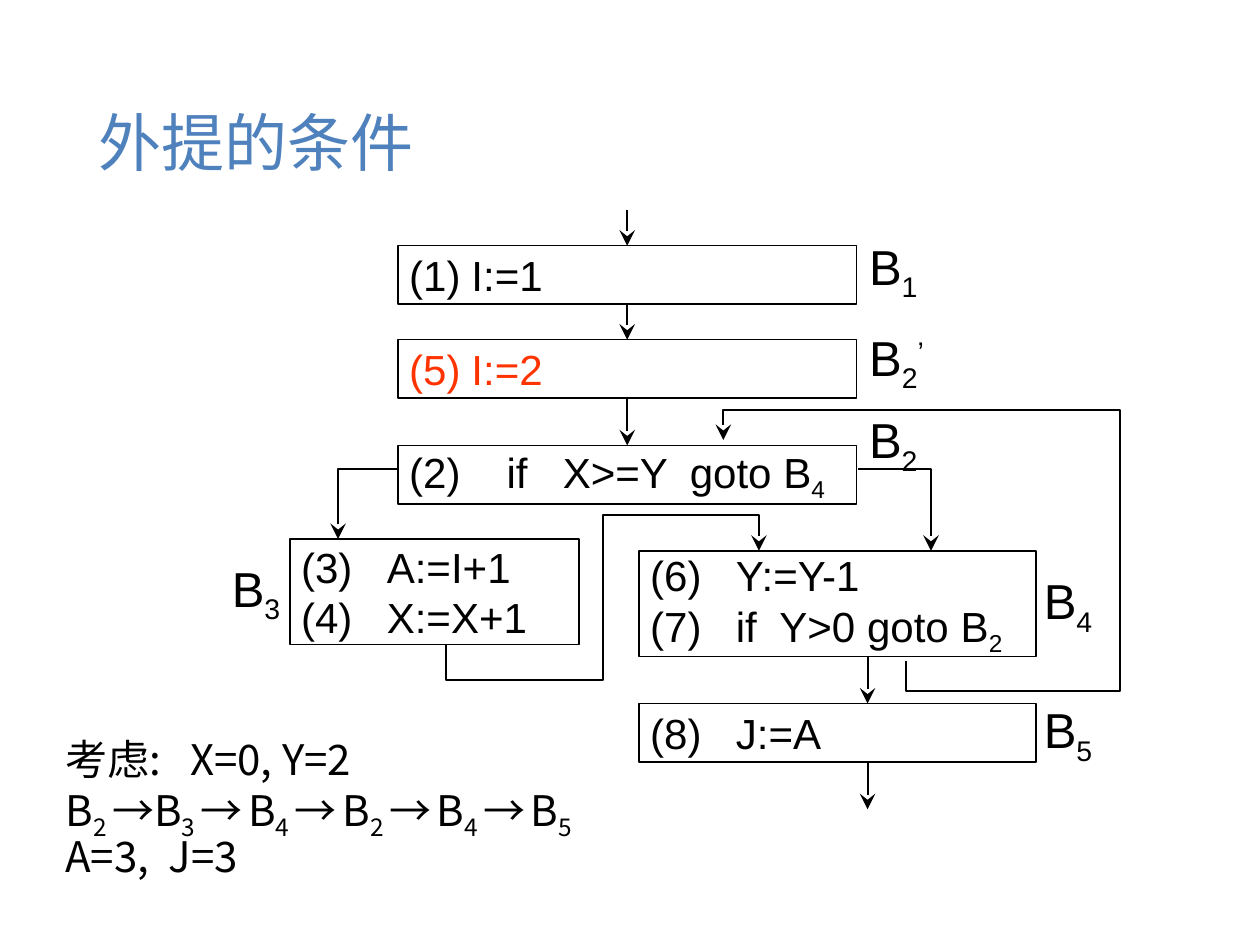
"""Builds a slide with a flow graph showing the condition for hoisting loop code."""
import pptx
import pptx.dml.color
import pptx.enum.shapes
import pptx.enum.text
import pptx.oxml.ns
import pptx.util
from lxml import etree

Pt = pptx.util.Pt
qn = pptx.oxml.ns.qn
COLORS = {"title": "4F81BD", "ink": "000000", "moved": "FF3300", "paper": "FFFFFF"}
COLORS = {name: pptx.dml.color.RGBColor.from_string(value) for name, value in COLORS.items()}
CODE_FONT, CHINESE_FONT = "Arial", "Noto Sans CJK SC"


def write_text(shape, lines, size, color="ink", font=CODE_FONT, align="LEFT", spacing=None, margin=7.2):
    """Fill a shape; each line is (text, tab stops), with |n| lowered and |^n| raised."""
    frame = shape.text_frame
    frame.word_wrap = True
    frame.vertical_anchor = pptx.enum.text.MSO_ANCHOR.MIDDLE
    frame.margin_left = frame.margin_right = Pt(margin)
    for index, (text, stops) in enumerate(lines):
        paragraph = frame.add_paragraph() if index else frame.paragraphs[0]
        paragraph.alignment = getattr(pptx.enum.text.PP_ALIGN, align)
        if spacing:
            paragraph.line_spacing = spacing
        if stops:
            tabs = etree.SubElement(paragraph._p.get_or_add_pPr(), qn("a:tabLst"))
            for stop in stops:
                etree.SubElement(tabs, qn("a:tab"), pos=str(Pt(stop)), algn="l")
        paragraph.font.size = Pt(size)
        paragraph.font.color.rgb = COLORS[color]
        paragraph.font.name = font
        etree.SubElement(paragraph.font._element, qn("a:ea"), typeface=font)
        for position, piece in enumerate(text.split("|")):
            if not piece:
                continue
            run = paragraph.add_run()
            run.text = piece.lstrip("^")
            if position % 2:
                baseline = "30000" if piece.startswith("^") else "-25000"
                run.font._element.set("baseline", baseline)


def style_arrow(arrow):
    """Give a connector or outline its black line, arrowhead and no shadow."""
    arrow.line.color.rgb = COLORS["ink"]
    arrow.line.width = Pt(1.25)
    properties = arrow._element.spPr
    etree.SubElement(properties.find(qn("a:ln")), qn("a:tailEnd"), type="stealth", w="lg", len="lg")
    if properties.find(qn("a:effectLst")) is None:
        etree.SubElement(properties, qn("a:effectLst"))


presentation = pptx.Presentation()
presentation.slide_width, presentation.slide_height = Pt(793.7), Pt(595.28)
slide = presentation.slides.add_slide(presentation.slide_layouts[5])
shapes = slide.shapes

title = shapes.title
title.left, title.top, title.width, title.height = Pt(54.7), Pt(31.7), Pt(684.7), Pt(115.2)
write_text(title, [("外提的条件", [])], 39.7, "title", CHINESE_FONT)

blocks = {
    "B1": (250.6, 154.8, 289, 36.9, "ink", [("(1)\tI:=1", [39.3])]),
    "B2'": (250.6, 214, 289, 36.9, "moved", [("(5)\tI:=2", [39.3])]),
    "B2": (250.6, 280.6, 289, 36.9, "ink", [("(2)\tif\tX>=Y\tgoto B|4|", [61.4, 96.8, 176.8])]),
    "B3": (182.6, 339.6, 182.2, 66.4, "ink", [("(3)\tA:=I+1", [54]), ("(4)\tX:=X+1", [54])]),
    "B4": (402.5, 347, 250, 66.6, "ink",
           [("(6)\tY:=Y-1", [54]), ("(7)\tif\tY>0 goto B|2|", [54, 81.4])]),
    "B5": (402.5, 443.2, 250, 36.9, "ink", [("(8)\tJ:=A", [54])]),
}
boxes = {}
for name, (left, top, width, height, color, lines) in blocks.items():
    box = shapes.add_shape(pptx.enum.shapes.MSO_SHAPE.RECTANGLE, Pt(left), Pt(top), Pt(width), Pt(height))
    box.shadow.inherit = False
    box.fill.background()
    box.line.color.rgb = COLORS["ink"]
    box.line.width = Pt(1)
    write_text(box, lines, 26.5, color)
    boxes[name] = box

labels = [("B|1|", 542.2, 147.6), ("B|2||^’|", 544.3, 205.2), ("B|2|", 542.2, 257),
          ("B|3|", 140.8, 350.6), ("B|4|", 652.3, 358.4), ("B|5|", 652.3, 439.6)]
for text, left, top in labels:
    label = shapes.add_textbox(Pt(left), Pt(top), Pt(41), Pt(44.6))
    write_text(label, [(text, [])], 30.9, align="CENTER", margin=0)

straight_arrows = [
    (395.1, 132.5, 154.8, None, "B1"),
    (395.1, 191.7, 214, "B1", "B2'"),
    (395.1, 250.9, 280.6, "B2'", "B2"),
    (546.5, 413.6, 443.2, None, None),
    (546.5, 480.1, 509.8, None, None),
]
for x, start, end, source, target in straight_arrows:
    arrow = shapes.add_connector(pptx.enum.shapes.MSO_CONNECTOR.STRAIGHT, Pt(x), Pt(start), Pt(x), Pt(end))
    if source:
        arrow.begin_connect(boxes[source], 2)
    if target:
        arrow.end_connect(boxes[target], 0)
    style_arrow(arrow)

bent_arrows = [
    [(250.6, 295.2), (213, 295.2), (213, 339.6)],
    [(540.4, 295.2), (586.5, 295.2), (586.5, 347)],
    [(570.7, 416.6), (570.7, 435.6), (705.6, 435.6), (705.6, 258.2), (455.6, 258.2), (455.6, 277.2)],
    [(281.2, 406), (281.2, 428.2), (379.6, 428.2), (379.6, 324.7), (478.1, 324.7), (478.1, 347)],
]
for corners in bent_arrows:
    points = [(Pt(x), Pt(y)) for x, y in corners]
    builder = shapes.build_freeform(*points[0])
    builder.add_line_segments(points[1:], close=False)
    arrow = builder.convert_to_shape()
    arrow.fill.background()
    style_arrow(arrow)

example = shapes.add_textbox(Pt(34.1), Pt(462.2), Pt(357.8), Pt(93.6))
example.fill.solid()
example.fill.fore_color.rgb = COLORS["paper"]
write_text(example, [
    ("考虑:\tX=0, Y=2", [78.6]),
    ("B|2 |→B|3 |→| |B|4 |→| |B|2 |→| |B|4 |→| |B|5|", []),
    ("A=3,\tJ=3", [65]),
], 26.5, font=CHINESE_FONT, spacing=0.9)
example.text_frame.vertical_anchor = pptx.enum.text.MSO_ANCHOR.TOP

presentation.save("out.pptx")
